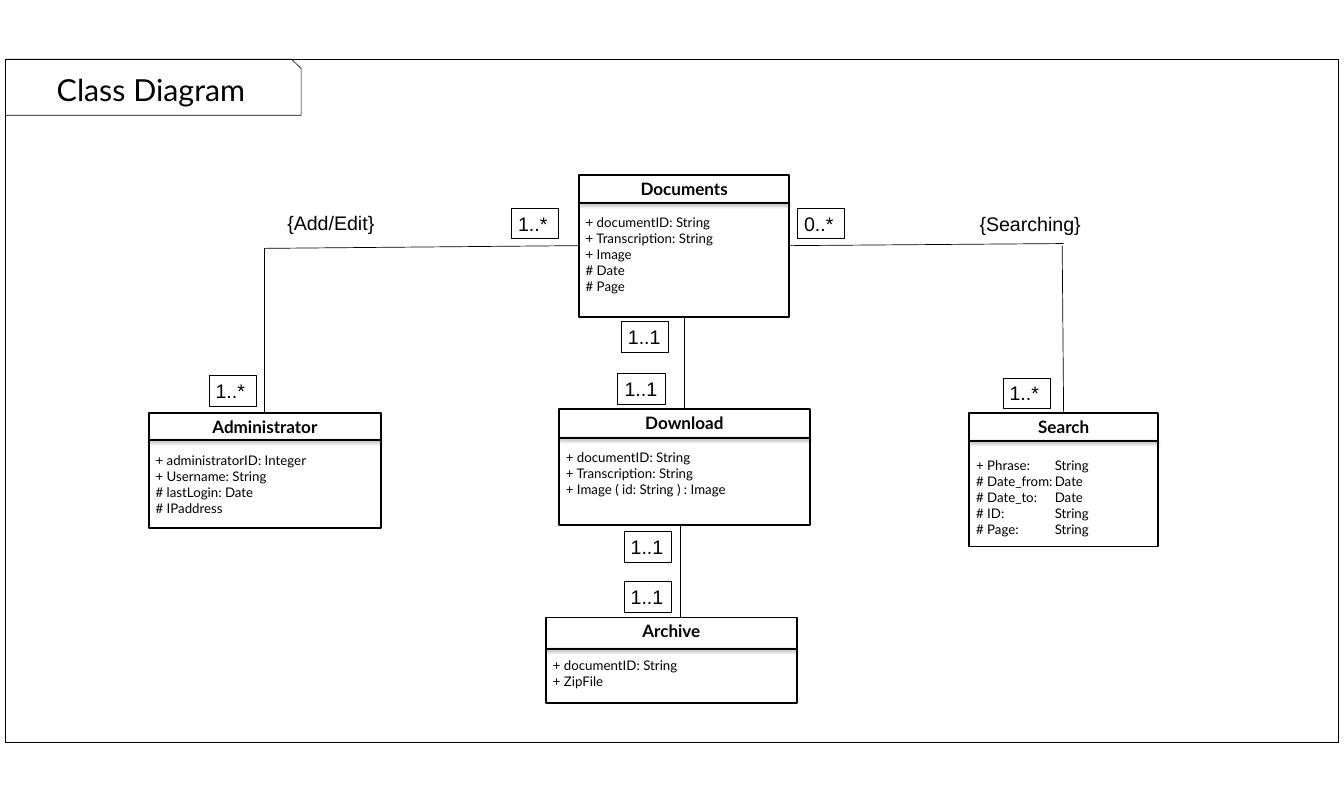
"""Builds a slide with the class diagram of a document archive."""
from lxml.etree import SubElement
from pptx import Presentation
from pptx.dml.color import RGBColor
from pptx.enum.shapes import MSO_CONNECTOR as Link, MSO_SHAPE as Form
from pptx.enum.text import MSO_ANCHOR as Anchor, PP_ALIGN as Align
from pptx.oxml.ns import qn
from pptx.util import Pt

BLACK = RGBColor(0, 0, 0)
WHITE = RGBColor(255, 255, 255)


class ClassDiagram:
    """Holds the style and the current slide, and draws each kind of element."""

    heading_font = "Lato"
    label_font = "Arial"
    thin, bold = 0.75, 2
    type_column = 83

    def __init__(self, slide):
        self.slide = slide

    def add_text(self, paragraph, text, size, font, bold=False):
        run = paragraph.add_run()
        run.text = text
        run.font.size = Pt(size)
        run.font.name = font
        run.font.bold = bold
        run.font.color.rgb = BLACK

    def title(self, text, left, top, width, height):
        heading = self.slide.shapes.title
        heading.left, heading.top = Pt(left), Pt(top)
        heading.width, heading.height = Pt(width), Pt(height)
        frame = heading.text_frame
        frame.margin_left = frame.margin_right = 0
        frame.margin_top = frame.margin_bottom = 0
        frame.vertical_anchor = Anchor.MIDDLE
        frame.paragraphs[0].alignment = Align.CENTER
        self.add_text(frame.paragraphs[0], text, 32, self.heading_font)

    def outline(self, form, left, top, width, height, weight, fill=None):
        shape = self.slide.shapes.add_shape(
            form, Pt(left), Pt(top), Pt(width), Pt(height))
        shape.shadow.inherit = False
        shape.line.color.rgb = BLACK
        shape.line.width = Pt(weight)
        if fill is None:
            shape.fill.background()
        else:
            shape.fill.solid()
            shape.fill.fore_color.rgb = fill
        return shape

    def line(self, x1, y1, x2, y2, weight=thin, shadow=False):
        link = self.slide.shapes.add_connector(
            Link.STRAIGHT, Pt(x1), Pt(y1), Pt(x2), Pt(y2))
        link.line.color.rgb = BLACK
        link.line.width = Pt(weight)
        effects = SubElement(link._element.spPr, qn("a:effectLst"))
        if shadow:
            outer = SubElement(effects, qn("a:outerShdw"), blurRad="40000",
                               dist="20000", dir="5400000", rotWithShape="0")
            black = SubElement(outer, qn("a:srgbClr"), val=str(BLACK))
            SubElement(black, qn("a:alpha"), val="38000")

    def class_box(self, name, left, top, width, height, divider, gap, members):
        box = self.outline(Form.RECTANGLE, left, top, width, height,
                           self.bold, WHITE)
        frame = box.text_frame
        frame.word_wrap = True
        frame.vertical_anchor = Anchor.TOP
        frame.paragraphs[0].alignment = Align.CENTER
        self.add_text(frame.paragraphs[0], name, 18, self.heading_font, True)
        for index, member in enumerate(members):
            paragraph = frame.add_paragraph()
            paragraph.alignment = Align.LEFT
            paragraph.space_before = Pt(0 if index else gap)
            if "\t" in member:
                stops = SubElement(paragraph._p.get_or_add_pPr(), qn("a:tabLst"))
                SubElement(stops, qn("a:tab"), pos=str(Pt(self.type_column)),
                           algn="l")
            self.add_text(paragraph, member, 14, self.heading_font)
        self.line(left, divider, left + width, divider, self.bold, True)

    def label(self, frame, text):
        frame.word_wrap = True
        frame.margin_right = 0
        frame.vertical_anchor = Anchor.TOP
        frame.paragraphs[0].alignment = Align.LEFT
        self.add_text(frame.paragraphs[0], text, 20.7, self.label_font)

    def multiplicity(self, text, left, top):
        box = self.outline(Form.RECTANGLE, left, top, 49.7, 32.4, self.thin)
        self.label(box.text_frame, text)

    def constraint(self, text, left, top):
        box = self.slide.shapes.add_textbox(Pt(left), Pt(top), Pt(121.7), Pt(32.4))
        self.label(box.text_frame, text)


CLASSES = [
    ("Search", 1022.4, 435.6, 199, 141.1, 465.1, 21.6,
     ["+ Phrase:\tString", "# Date_from:\tDate", "# Date_to:\tDate",
      "# ID:\tString", "# Page:\tString"]),
    ("Documents", 610.6, 184.3, 222, 150.5, 213.8, 16.8,
     ["+ documentID: String", "+ Transcription: String", "+ Image",
      "# Date", "# Page"]),
    ("Download", 589.7, 432, 264.2, 121.7, 462.2, 16.8,
     ["+ documentID: String", "+ Transcription: String",
      "+ Image ( id: String ) : Image"]),
    ("Administrator", 157, 435.6, 244.8, 121.7, 464.4, 16.8,
     ["+ administratorID: Integer", "+ Username: String",
      "# lastLogin: Date", "# IPaddress"]),
    ("Archive", 576, 651.6, 264.2, 90, 684.7, 16.8,
     ["+ documentID: String", "+ ZipFile"]),
]
ASSOCIATIONS = [
    (722.2, 334.8, 722.2, 432),
    (610.6, 259.2, 278.6, 262.1),
    (278.6, 262.1, 278.6, 435.6),
    (1121.8, 257, 832.6, 259.2),
    (1120.3, 259.2, 1121.8, 435.6),
    (717.8, 555.1, 717.8, 652.3),
]
MULTIPLICITIES = [
    ("1..*", 1057.7, 398.9), ("0..*", 841, 219.6),
    ("1..1", 651.6, 393.8), ("1..1", 655.2, 339.1),
    ("1..1", 658.1, 613.4), ("1..1", 658.1, 560.9),
    ("1..*", 220.3, 396), ("1..*", 539.3, 219.6),
]
CONSTRAINTS = [("{Searching}", 1026, 219.6), ("{Add/Edit}", 295.9, 219)]


def main():
    deck = Presentation()
    deck.slide_width, deck.slide_height = Pt(1417.5), Pt(850.5)
    diagram = ClassDiagram(deck.slides.add_slide(deck.slide_layouts[5]))
    diagram.outline(Form.RECTANGLE, 5.8, 62.6, 1405.4, 721.4, 1)
    diagram.outline(Form.SNIP_1_RECTANGLE, 5.8, 62.6, 311.8, 59, diagram.thin)
    diagram.title("Class Diagram", 5.8, 67.5, 306.9, 54.1)
    for entry in CLASSES:
        diagram.class_box(*entry)
    for ends in ASSOCIATIONS:
        diagram.line(*ends)
    for entry in MULTIPLICITIES:
        diagram.multiplicity(*entry)
    for entry in CONSTRAINTS:
        diagram.constraint(*entry)
    deck.save("out.pptx")


if __name__ == "__main__":
    main()
